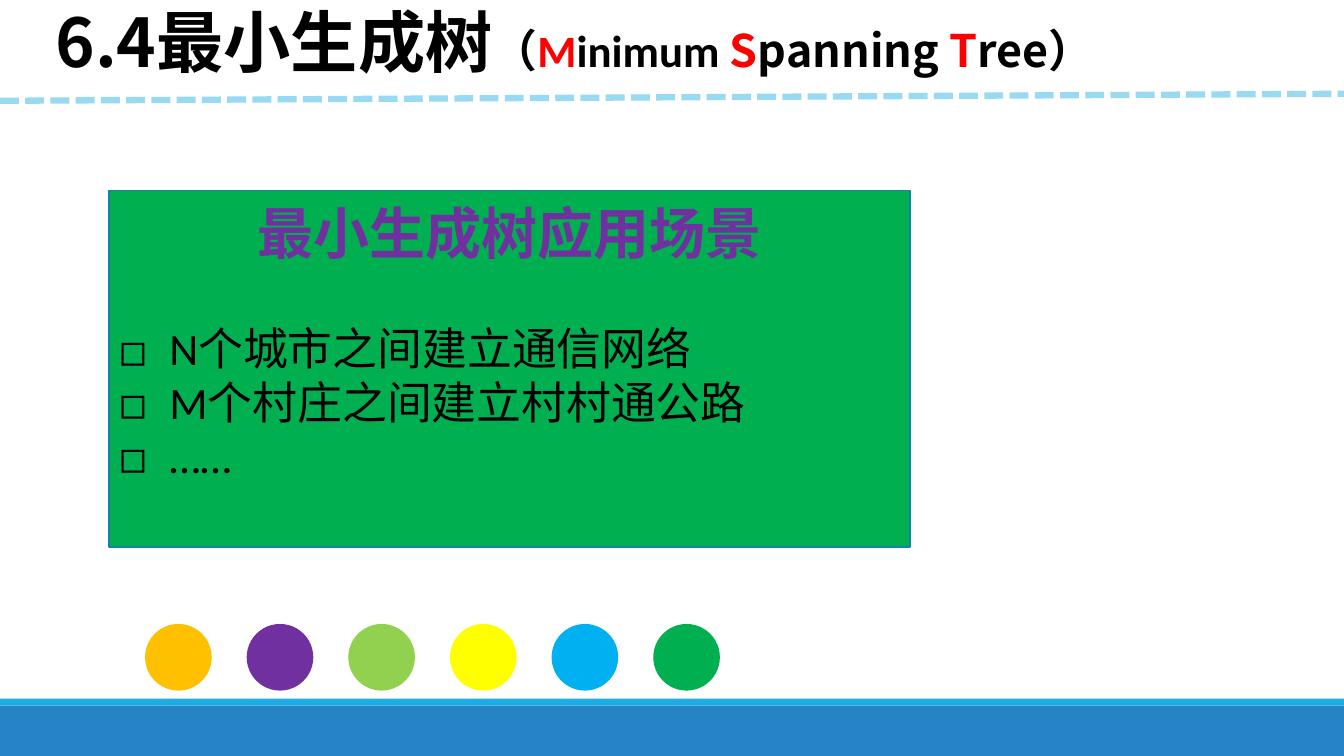
from dataclasses import dataclass

from lxml.etree import SubElement
from pptx import Presentation
from pptx.dml.color import RGBColor
from pptx.enum.dml import MSO_LINE
from pptx.enum.lang import MSO_LANGUAGE_ID as Language
from pptx.enum.shapes import MSO_CONNECTOR as Connector, MSO_SHAPE as Shape
from pptx.enum.text import MSO_ANCHOR as Anchor, MSO_AUTO_SIZE as AutoSize, PP_ALIGN as Align
from pptx.oxml.ns import qn
from pptx.util import Pt


@dataclass(frozen=True)
class Theme:
    latin: str = "Calibri"
    wide: str = "Noto Sans CJK SC"
    text: str = "000000"
    accent: str = "FF0000"
    heading: str = "7030A0"
    box_fill: str = "00B050"
    box_line: str = "1580A9"
    rule: str = "99DAF3"
    title_size: int = 48
    heading_size: int = 40
    body_size: int = 32


theme = Theme()

# Content
WIDTH, HEIGHT = 960, 540
TITLE = [  # text, size, font, colour
    ("6.4最小生成树", theme.title_size, theme.wide, theme.text),
    ("（", theme.body_size, theme.latin, theme.text),
    ("M", theme.body_size, theme.latin, theme.accent),
    ("inimum ", theme.body_size, theme.latin, theme.text),
    ("S", theme.body_size, theme.wide, theme.accent),
    ("panning ", theme.body_size, theme.wide, theme.text),
    ("T", theme.body_size, theme.wide, theme.accent),
    ("ree", theme.body_size, theme.wide, theme.text),
    ("）", theme.body_size, theme.latin, theme.text),
]
HEADING = "最小生成树应用场景"
SCENARIOS = ["N个城市之间建立通信网络", "M个村庄之间建立村村通公路", "……"]
BARS = [(504, 36, "2683C6"), (499, 5, "1CADE4")]  # top, height, colour
DOT_COLOURS = ["FFC000", "7030A0", "92D050", "FFFF00", "00B0F0", "00B050"]
DOT_LEFT, DOT_TOP, DOT_SIZE, DOT_PITCH = 103.6, 445.7, 47.6, 72.6


def place(shape, left, top, width, height):
    shape.left, shape.top = Pt(left), Pt(top)
    shape.width, shape.height = Pt(width), Pt(height)


def format_run(run, size, font, colour, bold):
    run.font.size, run.font.name, run.font.bold = Pt(size), font, bold
    run.font.color.rgb = RGBColor.from_string(colour)
    run.font.language_id = Language.SIMPLIFIED_CHINESE


def set_bullet(paragraph, indent, character=None):
    properties = paragraph._p.get_or_add_pPr()
    properties.set("marL", str(Pt(indent)))
    properties.set("indent", str(Pt(-indent)))
    if character:
        SubElement(properties, qn("a:buFont"), typeface=theme.wide)
        SubElement(properties, qn("a:buChar"), char=character)
    else:
        SubElement(properties, qn("a:buNone"))


def add_plain_shape(kind, left, top, width, height, colour):
    shape = slide.shapes.add_shape(kind, Pt(left), Pt(top), Pt(width), Pt(height))
    shape.shadow.inherit = False
    shape.fill.solid()
    shape.fill.fore_color.rgb = RGBColor.from_string(colour)
    shape.line.fill.background()


presentation = Presentation()
presentation.slide_width, presentation.slide_height = Pt(WIDTH), Pt(HEIGHT)
slide = presentation.slides.add_slide(presentation.slide_layouts[1])

# Title
title = slide.shapes.title
place(title, 32.4, 2.9, 810.7, 65.5)
title.text_frame.auto_size = AutoSize.NONE
title.text_frame.vertical_anchor = Anchor.TOP
title_line = title.text_frame.paragraphs[0]
title_line.alignment, title_line.line_spacing = Align.LEFT, 0.9
for text, size, font, colour in TITLE:
    run = title_line.add_run()
    run.text = text
    format_run(run, size, font, colour, True)

# Green box with heading and list
box = slide.placeholders[1]
place(box, 77.8, 136.1, 572.4, 254.9)
box.fill.solid()
box.fill.fore_color.rgb = RGBColor.from_string(theme.box_fill)
box.line.color.rgb = RGBColor.from_string(theme.box_line)
box.line.width = Pt(1.25)
frame = box.text_frame
frame.auto_size, frame.vertical_anchor = AutoSize.NONE, Anchor.TOP
frame.margin_top = Pt(6)
frame.text = "\n".join([HEADING, *SCENARIOS])
for index, paragraph in enumerate(frame.paragraphs):
    paragraph.space_before = Pt(0)
    if index == 0:
        paragraph.alignment, paragraph.space_after = Align.CENTER, Pt(39)
        set_bullet(paragraph, 0)
        format_run(paragraph.runs[0], theme.heading_size, theme.latin, theme.heading, True)
    else:
        paragraph.alignment = Align.LEFT
        set_bullet(paragraph, 36, "◻")
        format_run(paragraph.runs[0], theme.body_size, theme.latin, theme.text, False)

# Footer bars
for top, height, colour in BARS:
    add_plain_shape(Shape.RECTANGLE, 0, top, WIDTH, height, colour)

# Row of dots
for index, colour in enumerate(DOT_COLOURS):
    add_plain_shape(Shape.OVAL, DOT_LEFT + index * DOT_PITCH, DOT_TOP, DOT_SIZE, DOT_SIZE, colour)

# Dashed rule under the title
rule = slide.shapes.add_connector(Connector.STRAIGHT, Pt(0), Pt(72), Pt(WIDTH), Pt(67))
rule.line.color.rgb = RGBColor.from_string(theme.rule)
rule.line.width, rule.line.dash_style = Pt(4.5), MSO_LINE.SQUARE_DOT
SubElement(rule._element.spPr, qn("a:effectLst"))

presentation.save("out.pptx")
